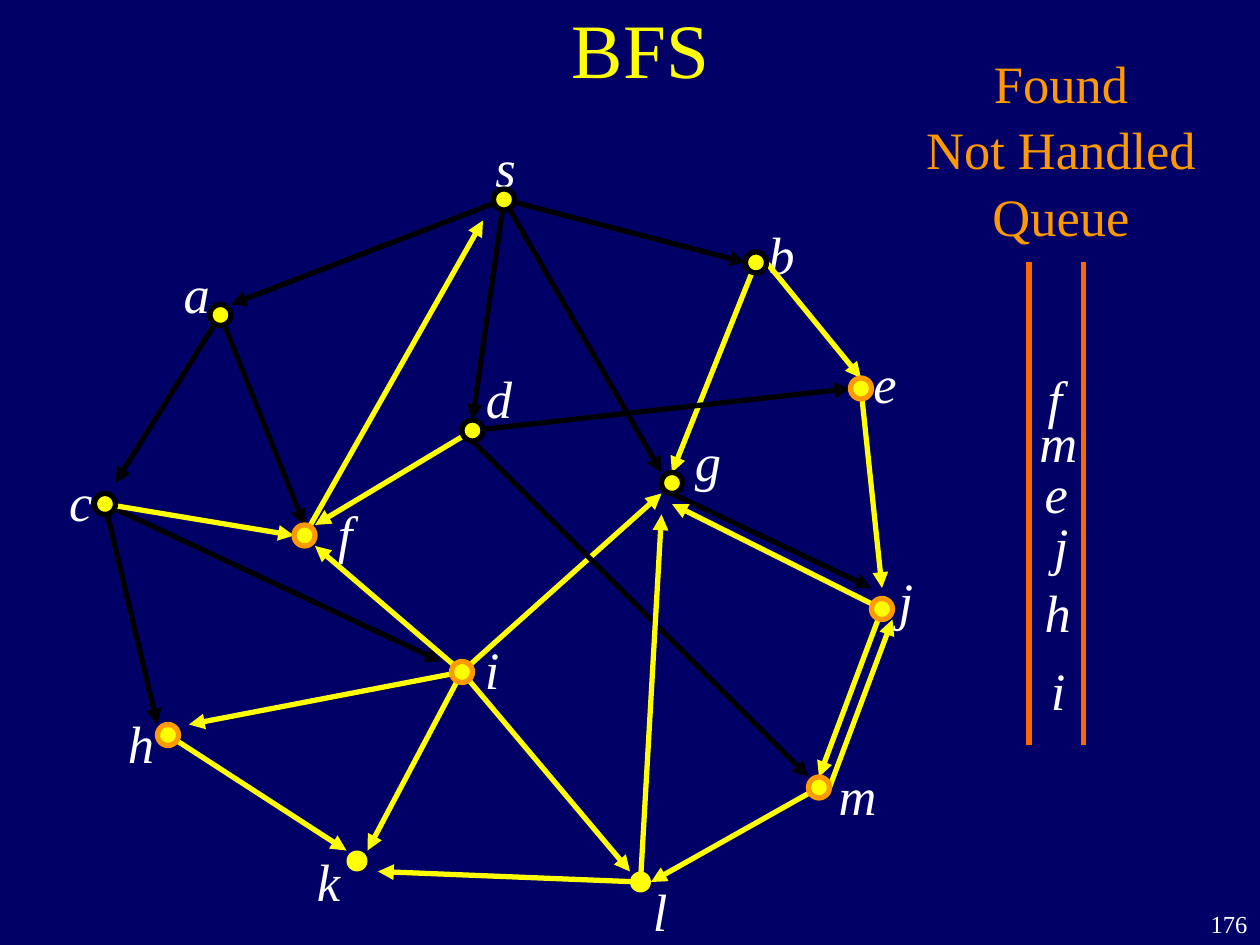
import pptx
import pptx.util
import pptx.dml.color
import pptx.enum.shapes
import pptx.enum.text
import pptx.oxml
import pptx.oxml.ns
import lxml.etree

COLORS = {"navy": "000066", "yellow": "FFFF00", "black": "000000",
          "white": "FFFFFF", "orange": "FF9900", "rail": "FF6600"}
COLORS = {name: pptx.dml.color.RGBColor.from_string(v) for name, v in COLORS.items()}
ALIGN = pptx.enum.text.PP_ALIGN
FONT = "Times New Roman"

prs = pptx.Presentation()
prs.slide_width = pptx.util.Inches(10)
prs.slide_height = pptx.util.Inches(7.5)
CELL = prs.slide_width / 120  # the slide is a grid of 120 columns by 90 rows

s = prs.slides.add_slide(prs.slide_layouts[5])
s.background.fill.solid()
s.background.fill.fore_color.rgb = COLORS["navy"]


def add_text(text, box, size, color, align=ALIGN.LEFT, italic=False, spacing=1.05):
    """Add an unwrapped text box; box is left, top, width, height in cells."""
    tf = s.shapes.add_textbox(*[round(v * CELL) for v in box]).text_frame
    tf.word_wrap = False
    p = tf.paragraphs[0]
    p.text = text
    p.alignment = align
    p.line_spacing = spacing
    p.font.name, p.font.size, p.font.italic = FONT, pptx.util.Pt(size), italic
    p.font.color.rgb = COLORS[color]


def add_line(x1, y1, x2, y2, color, arrow=True):
    ends = [round(v * CELL) for v in (x1, y1, x2, y2)]
    cx = s.shapes.add_connector(pptx.enum.shapes.MSO_CONNECTOR.STRAIGHT, *ends)
    cx.line.color.rgb = COLORS[color]
    cx.line.width = pptx.util.Pt(3)
    if arrow:
        ln = cx.line._get_or_add_ln()
        lxml.etree.SubElement(ln, pptx.oxml.ns.qn("a:tailEnd"), type="triangle")
    lxml.etree.SubElement(cx._element.spPr, pptx.oxml.ns.qn("a:effectLst"))


# Title and page number
title = s.shapes.title
title.left, title.top, title.width, title.height = [
    round(v * CELL) for v in (10, -3, 102, 15)]
title.text_frame.vertical_anchor = pptx.enum.text.MSO_ANCHOR.MIDDLE
p = title.text_frame.paragraphs[0]
p.text = "BFS"
p.alignment = ALIGN.CENTER
p.font.name, p.font.size = FONT, pptx.util.Pt(44)
p.font.color.rgb = COLORS["yellow"]
add_text("176", (114, 86, 6, 4), 14, "white", ALIGN.RIGHT, spacing=1)

# Letters beside the nodes, then those in the queue
LETTER_WIDTHS = {"s": 4.3, "c": 4.7, "k": 4.7, "e": 4.7, "m": 6,
                 "f": 3.8, "i": 3.8, "l": 3.8, "j": 3.8}
node_letters = [
    ("s", 46, 12), ("a", 16.3, 24), ("c", 5.4, 43.8), ("h", 11, 66.8),
    ("k", 29, 80), ("f", 31, 46.8), ("i", 45, 59.8), ("l", 61, 82.8),
    ("m", 78.7, 71.8), ("j", 84.4, 53.2), ("e", 82, 32.5), ("b", 72, 20.3),
    ("g", 65, 40), ("d", 45.1, 34)]
queue_letters = [
    ("f", 98.6, 34), ("m", 97.8, 38.2), ("e", 98.3, 43), ("j", 99.2, 48),
    ("h", 98.3, 54.4), ("i", 98.9, 61.8)]
for letter, x, y in node_letters + queue_letters:
    add_text(letter, (x, y, LETTER_WIDTHS.get(letter, 4.9), 7.2), 30, "white", italic=True)

# Node centres and outline colours
nodes = {
    "k": (34, 82, None), "l": (61, 84, None), "g": (64, 46, "black"),
    "s": (48, 19, "black"), "a": (21, 30, "black"), "d": (45, 41, "black"),
    "b": (72, 25, "black"), "c": (10, 48, "black"), "f": (29, 51, "orange"),
    "e": (82, 37, "orange"), "m": (78, 75, "orange"), "j": (84, 58, "orange"),
    "h": (16, 70, "orange"), "i": (44, 64, "orange")}

# Edges: start and end node, arrow tip, colour
edges = [
    ("sa", 22, 29, "black"), ("sd", 45, 40, "black"), ("sg", 63, 45, "black"),
    ("sb", 71, 25, "black"), ("bg", 64, 45, "yellow"), ("ig", 63, 47, "yellow"),
    ("de", 81, 37, "black"), ("be", 82, 36, "yellow"), ("gj", 83, 56, "black"),
    ("ej", 84, 56, "yellow"), ("dm", 77, 74, "black"), ("df", 30, 50, "yellow"),
    ("af", 29, 50, "black"), ("ac", 11, 46, "black"), ("ci", 42, 63, "black"),
    ("ik", 35, 81, "yellow"), ("il", 60, 83, "yellow"), ("ih", 18, 69, "yellow"),
    ("ml", 62, 84, "yellow"), ("mj", 85, 59, "yellow"), ("jg", 64, 48, "yellow"),
    ("if", 30, 52, "yellow"), ("jm", 78, 74, "yellow"), ("lg", 63, 49, "yellow"),
    ("lk", 36, 83, "yellow"), ("fs", 46, 21, "yellow"), ("hk", 33, 81, "yellow"),
    ("ch", 15, 69, "black"), ("cf", 28, 51, "yellow")]
start_shift = {"be": (1, 0), "gj": (0, 1), "dm": (0, 1), "mj": (1, 0)}
for edge, tip_x, tip_y, color in edges:
    x, y, _ = nodes[edge[0]]
    dx, dy = start_shift.get(edge, (0, 0))
    add_line(x + dx, y + dy, tip_x, tip_y, color)

for x, y, outline in nodes.values():
    sp = s.shapes.add_shape(pptx.enum.shapes.MSO_SHAPE.OVAL,
                            *[round(v * CELL) for v in (x - 1, y - 1, 2, 2)])
    sp.shadow.inherit = False
    sp.fill.solid()
    sp.fill.fore_color.rgb = COLORS["yellow"]
    if outline:
        sp.line.color.rgb = COLORS[outline]
        sp.line.width = pptx.util.Pt(3)
    else:
        sp.line.fill.background()

# Queue heading and rails
add_text("Found\nNot Handled\nQueue", (87, 4, 28.1, 19.2), 30, "orange", ALIGN.CENTER)
for x in (98, 103.2):
    add_line(x, 25, x, 71, "rail", arrow=False)

prs.save("out.pptx")
